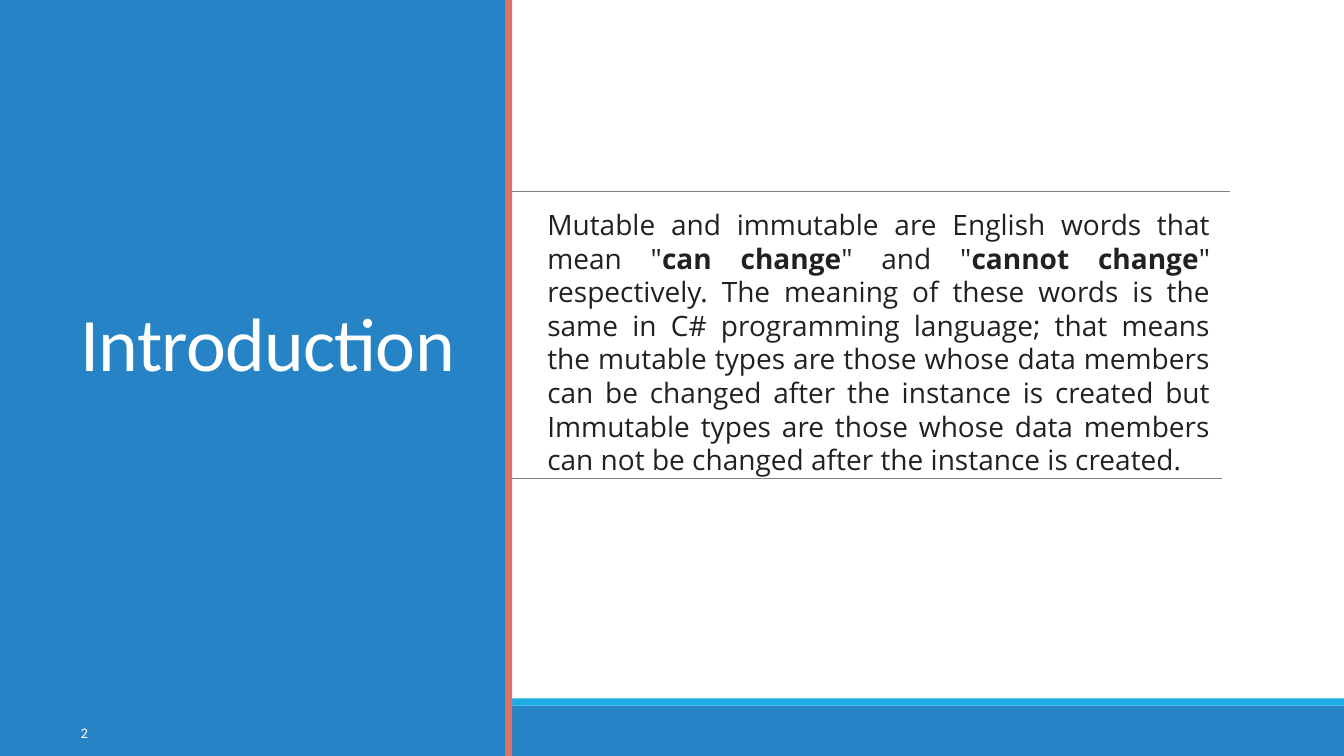
"""Build the Introduction slide on mutable and immutable types."""
import pptx
import pptx.dml.color
import pptx.enum.shapes
import pptx.enum.text
import pptx.oxml.ns
import pptx.util
from lxml import etree

Inches = pptx.util.Inches
Pt = pptx.util.Pt
ANCHOR = pptx.enum.text.MSO_ANCHOR
ALIGN = pptx.enum.text.PP_ALIGN


def color(value):
    return pptx.dml.color.RGBColor.from_string(value)


def format_font(font, name, size, value):
    font.name = name
    font.size = Pt(size)
    font.color.rgb = color(value)


deck = pptx.Presentation()
deck.slide_width = Inches(13.33)
deck.slide_height = Inches(7.5)
page = deck.slides.add_slide(deck.slide_layouts[5])

rules = [(1.31, 12.2, 1.9), (1.32, 12.12, 4.75)]
for left, right, top in rules:
    rule = page.shapes.add_connector(
        pptx.enum.shapes.MSO_CONNECTOR.STRAIGHT,
        Inches(left), Inches(top), Inches(right), Inches(top))
    rule.line.color.rgb = color("808080")
    rule.line.width = Pt(0.5)
    etree.SubElement(rule.element.spPr, pptx.oxml.ns.qn("a:effectLst"))

bands = [
    (0, 7, 13.33, 0.5, "2683C6"),
    (0, 6.93, 13.33, 0.07, "1CADE4"),
    (0, 0, 5.01, 7.5, "2683C6"),
    (5.01, 0, 0.07, 7.5, "DE7066"),
]
for left, top, width, height, fill in bands:
    band = page.shapes.add_shape(
        pptx.enum.shapes.MSO_SHAPE.RECTANGLE,
        Inches(left), Inches(top), Inches(width), Inches(height))
    band.shadow.inherit = False
    band.fill.solid()
    band.fill.fore_color.rgb = color(fill)
    band.line.fill.background()

title = page.shapes.title
title.element.getparent().append(title.element)
title.left, title.top = Inches(0.7), Inches(0.7)
title.width, title.height = Inches(3.92), Inches(3.19)
title.text_frame.text = "Introduction"
title.text_frame.auto_size = pptx.enum.text.MSO_AUTO_SIZE.NONE
title.text_frame.vertical_anchor = ANCHOR.BOTTOM
para = title.text_frame.paragraphs[0]
para.alignment = ALIGN.LEFT
para.line_spacing = 0.85
format_font(para.font, "Calibri", 54, "FFFFFF")
for properties in title.element.iter(pptx.oxml.ns.qn("a:defRPr")):
    properties.set("spc", "-50")

number = page.shapes.add_textbox(Inches(0.7), Inches(7.07), Inches(0.81), Inches(0.4))
number.text_frame.text = "2"
number.text_frame.word_wrap = True
number.text_frame.vertical_anchor = ANCHOR.MIDDLE
format_font(number.text_frame.paragraphs[0].font, "Calibri", 10.5, "FFFFFF")

body = page.shapes.add_textbox(Inches(5.33), Inches(2.01), Inches(6.77), Inches(3.4))
body.text_frame.word_wrap = True
para = body.text_frame.paragraphs[0]
para.alignment = ALIGN.JUSTIFY
format_font(para.font, "Open Sans", 20, "212121")
spans = [
    ('Mutable and immutable are English words that mean "', False),
    ("can change", True),
    ('" and "', False),
    ("cannot change", True),
    ('" respectively. The meaning of these words is the same in C# programming '
     "language; that means the mutable types are those whose data members can be "
     "changed after the instance is created but Immutable types are those whose "
     "data members can not be changed after the instance is created.", False),
]
for words, bold in spans:
    span = para.add_run()
    span.text = words
    span.font.bold = bold

deck.save("out.pptx")
